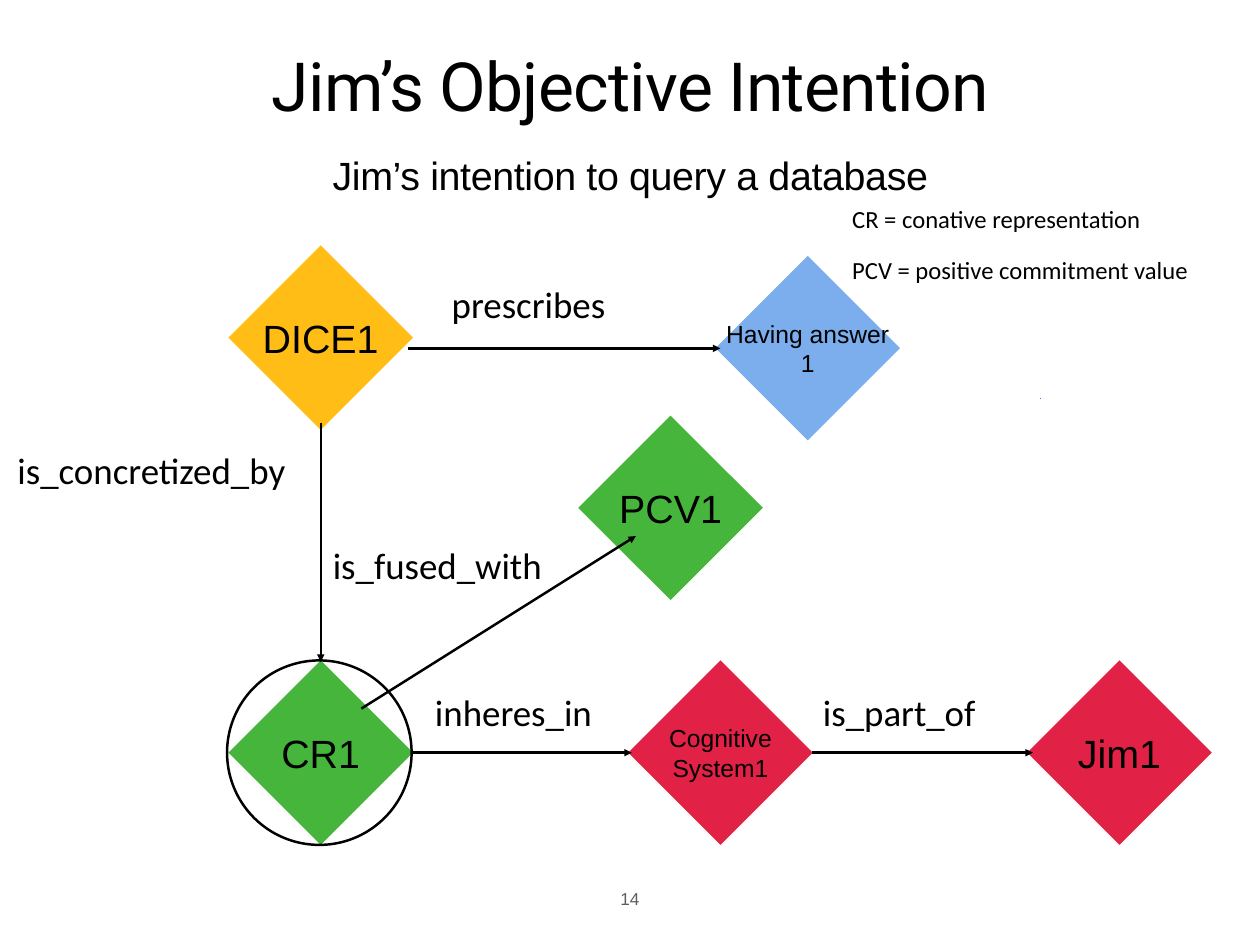
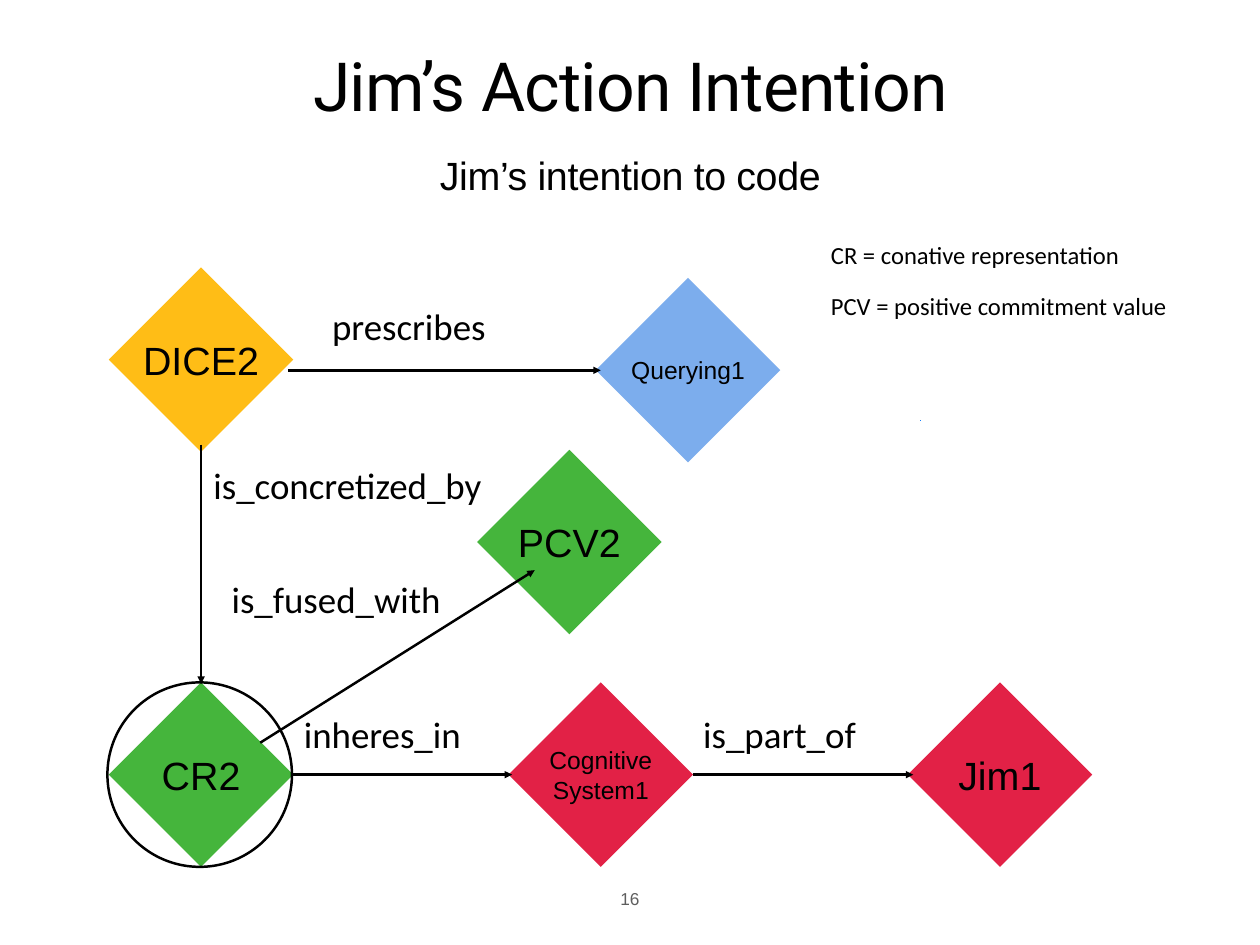
from lxml import etree
from pptx import Presentation
from pptx.dml.color import RGBColor
from pptx.enum.shapes import MSO_CONNECTOR, MSO_SHAPE
from pptx.enum.text import MSO_ANCHOR, MSO_AUTO_SIZE, PP_ALIGN
from pptx.oxml.ns import qn
from pptx.util import Cm, Pt

LINE = MSO_CONNECTOR.STRAIGHT
OVAL = MSO_SHAPE.OVAL
MID, TOP, LOW = MSO_ANCHOR.MIDDLE, MSO_ANCHOR.TOP, MSO_ANCHOR.BOTTOM
FIXED, GROW = MSO_AUTO_SIZE.NONE, MSO_AUTO_SIZE.SHAPE_TO_FIT_TEXT
LEFT, CENTER = PP_ALIGN.LEFT, PP_ALIGN.CENTER

COLORS = {
    "ink": "000000",
    "page": "5E5E5E",
    "gold": "FFBD16",
    "blue": "7CADED",
    "green": "45B53C",
    "red": "E22146",
    "dot": "147EFB",
}
WIDE, HIGH = 36.12, 27.1
SIDE = 5.29
HALF = SIDE / 2
ROW = 11.9
LEGEND = ["CR = conative representation", "PCV = positive commitment value"]


def color(name):
    return RGBColor.from_string(COLORS[name])


def write(shape, lines, size, face="Arial", ink="ink", align=CENTER,
          anchor=MID, wrap=True, fit=FIXED, lead=None, gap=None, track=None):
    frame = shape.text_frame
    frame.word_wrap = wrap
    frame.auto_size = fit
    frame.vertical_anchor = anchor
    frame.margin_left = frame.margin_right = Cm(0.15)
    frame.margin_top = frame.margin_bottom = Cm(0.15)
    frame.text = "\n".join(lines)
    for para in frame.paragraphs:
        para.alignment = align
        para.font.name = face
        para.font.size = Pt(size)
        para.font.color.rgb = color(ink)
        if lead:
            para.line_spacing = lead
        if gap:
            para.space_before = Pt(gap)
        if track:
            for run in para.runs:
                run._r.get_or_add_rPr().set("spc", str(track))


def text(slide, box, lines, size, **style):
    shape = slide.shapes.add_textbox(*map(Cm, box))
    write(shape, lines, size, **style)


def label(slide, box, lines, size=30):
    text(slide, box, lines, size, face="Calibri", align=LEFT, wrap=False,
         fit=GROW, lead=0.9, gap=20)


def node(slide, x, y, name, fill, size=32):
    pen = slide.shapes.build_freeform(Cm(x), Cm(y + HALF))
    pen.add_line_segments([
        (Cm(x + HALF), Cm(y + SIDE)),
        (Cm(x + SIDE), Cm(y + HALF)),
        (Cm(x + HALF), Cm(y)),
    ])
    shape = pen.convert_to_shape()
    shape.shadow.inherit = False
    shape.fill.solid()
    shape.fill.fore_color.rgb = color(fill)
    shape.line.fill.background()
    write(shape, [name], size)


def line(slide, ends, ink="ink", width=2, head=True):
    wire = slide.shapes.add_connector(LINE, *map(Cm, ends))
    wire.line.color.rgb = color(ink)
    wire.line.width = Pt(width)
    if head:
        pen = wire.line._get_or_add_ln()
        etree.SubElement(pen, qn("a:tailEnd")).set("type", "triangle")
    etree.SubElement(wire._element.spPr, qn("a:effectLst"))


def frame(slide, title, lead, page):
    head = slide.shapes.title
    head.left, head.top = Cm(1.98), Cm(1.09)
    head.width, head.height = Cm(32.18), Cm(3.25)
    write(head, [title], 55.1, face="Roboto", lead=0.7, track=-60)
    text(slide, (1.98, 4.19, 32.18, 1.75), [lead], 32, anchor=TOP, track=-30)
    text(slide, (17.06, 25.32, 2, 0.91), [page], 14, ink="page", anchor=LOW)


def graph(slide, x, y, names, goal, tie, inhere, shift):
    dx, dy = shift
    nodes = [
        (0, 0, names[0], "gold", 32),
        (13.96, 0.3, goal, "blue", 20),
        (0, ROW, names[1], "green", 32),
        (22.9, ROW, "Jim1", "red", 32),
        (11.46, ROW, "Cognitive System1", "red", 20),
        (10.03 + dx, 4.88 + dy, names[2], "green", 32),
    ]
    axis = ROW + HALF
    wires = [
        (5.15, 2.95, 14.1, 2.95),
        (HALF, 5.08, HALF, 11.94),
        (16.74, axis, 23.06, axis),
        (5.23, axis, 11.56, axis),
        (3.81 + dx, 13.28 + dy, 11.68 + dx, 8.33 + dy),
    ]
    labels = [
        (6.25, 0.83, 5.28, "prescribes"),
        (*tie, 8.97, "is_concretized_by"),
        (inhere, 12.52, 5.21, "inheres_in"),
        (16.89, 12.52, 5.08, "is_part_of"),
        (2.84 + dx, 8.31 + dy, 6.81, "is_fused_with"),
    ]
    line(slide, (x + 23.26, y + 4.39, x + 23.29, y + 4.39), "dot", 1, False)
    for left, top, name, fill, size in nodes:
        node(slide, x + left, y + top, name, fill, size)
    for x1, y1, x2, y2 in wires:
        line(slide, (x + x1, y + y1, x + x2, y + y2))
    for left, top, width, name in labels:
        label(slide, (x + left, y + top, width, 1.85), [name])
    ring = slide.shapes.add_shape(
        OVAL, Cm(x - 0.04), Cm(y + ROW), Cm(SIDE), Cm(SIDE))
    ring.shadow.inherit = False
    ring.fill.background()
    ring.line.color.rgb = color("ink")
    ring.line.width = Pt(2)


SLIDES = [
    {
        "frame": ("Jim’s Objective Intention",
                  "Jim’s intention to query a database", "14"),
        "graph": (6.55, 7.04, ["DICE1", "CR1", "PCV1"], "Having answer 1",
                  (-6.2, 5.59), 5.77, (0, 0)),
        "legend": (24.28, 5.56),
    },
    {
        "frame": ("Jim’s Action Intention", "Jim’s intention to code", "16"),
        "graph": (3.12, 7.67, ["DICE2", "CR2", "PCV2"], "Querying1",
                  (2.85, 5.38), 5.44, (0.53, 0.35)),
        "legend": (23.67, 6.58),
    },
]


def main():
    deck = Presentation()
    deck.slide_width, deck.slide_height = Cm(WIDE), Cm(HIGH)
    for part in SLIDES:
        slide = deck.slides.add_slide(deck.slide_layouts[5])
        frame(slide, *part["frame"])
        graph(slide, *part["graph"])
        label(slide, (*part["legend"], 11.13, 3), LEGEND, 20)
    deck.save("out.pptx")


if __name__ == "__main__":
    main()
